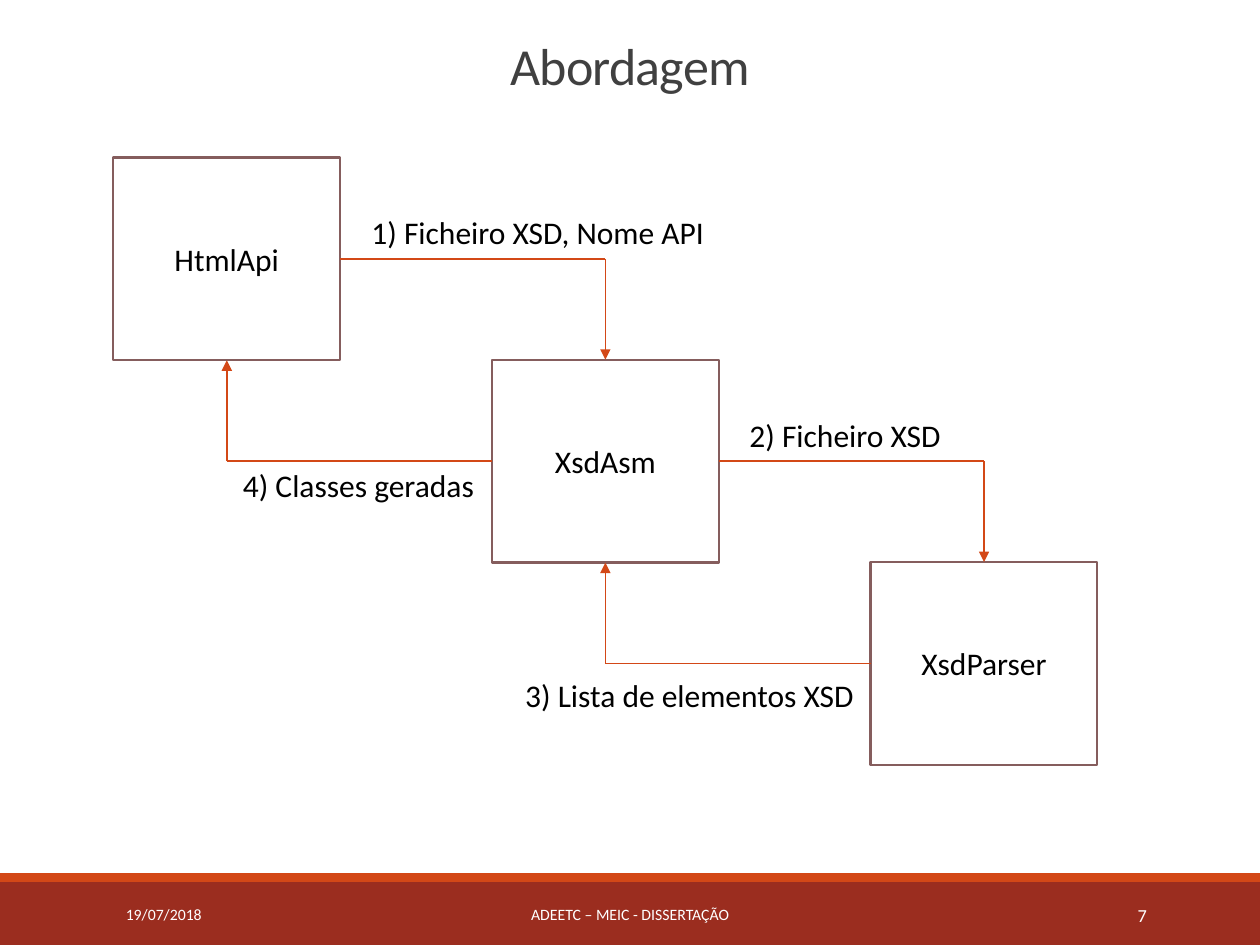
from lxml.etree import SubElement
from pptx import Presentation
from pptx.dml.color import RGBColor
from pptx.enum.shapes import MSO_CONNECTOR, MSO_SHAPE
from pptx.enum.text import MSO_ANCHOR, PP_ALIGN
from pptx.oxml.ns import qn
from pptx.util import Inches, Pt

COLORS = {
    "band": "9B2D1F",
    "accent": "D34817",
    "outline": "855D5D",
    "white": "FFFFFF",
    "black": "000000",
    "title": "404040",
}
FONT = "Calibri"
TOP, LEFT, BOTTOM, RIGHT = range(4)


def color(name):
    """Return the named colour."""
    return RGBColor.from_string(COLORS[name])


def write_text(shape, text, size, color_name, align=PP_ALIGN.LEFT, anchor=MSO_ANCHOR.MIDDLE):
    """Write one formatted run into a shape and return its paragraph and run."""
    shape.text_frame.vertical_anchor = anchor
    paragraph = shape.text_frame.paragraphs[0]
    paragraph.alignment = align
    run = paragraph.add_run()
    run.text = text
    run.font.name = FONT
    run.font.size = Pt(size)
    run.font.color.rgb = color(color_name)
    return paragraph, run


def add_rectangle(slide, left, top, width, height, fill, outline=None):
    """Add a flat rectangle with an optional outline."""
    shape = slide.shapes.add_shape(MSO_SHAPE.RECTANGLE, left, top, width, height)
    shape.shadow.inherit = False
    shape.fill.solid()
    shape.fill.fore_color.rgb = color(fill)
    if outline:
        shape.line.color.rgb = color(outline)
        shape.line.width = Pt(1.25)
    else:
        shape.line.fill.background()
    return shape


def add_line(slide, start, end, arrow=False):
    """Add a straight accent line, with an arrowhead at its end if asked."""
    connector = slide.shapes.add_connector(MSO_CONNECTOR.STRAIGHT, *start, *end)
    connector.line.color.rgb = color("accent")
    connector.line.width = Pt(1)
    if arrow:
        SubElement(connector.line._get_or_add_ln(), qn("a:tailEnd"), type="triangle")
    SubElement(connector._element.spPr, qn("a:effectLst"))
    return connector


def add_elbow(slide, source, target, source_side, target_side):
    """Join two boxes by a horizontal line and a vertical arrow."""
    start_x = source.left + (source.width if source_side == RIGHT else 0)
    middle_y = source.top + source.height // 2
    middle_x = target.left + target.width // 2
    end_y = target.top + (target.height if target_side == BOTTOM else 0)
    corner = (middle_x, middle_y)
    add_line(slide, (start_x, middle_y), corner).begin_connect(source, source_side)
    add_line(slide, corner, (middle_x, end_y), arrow=True).end_connect(target, target_side)


def add_title(slide, left, top, width, height):
    """Add the centred slide title."""
    box = slide.shapes.add_textbox(left, top, width, height)
    frame = box.text_frame
    frame.word_wrap = True
    frame.margin_left = frame.margin_right = Inches(0.07)
    frame.margin_top = frame.margin_bottom = Inches(0.04)
    paragraph, run = write_text(box, "Abordagem", 29.7, "title", PP_ALIGN.CENTER, MSO_ANCHOR.BOTTOM)
    paragraph.line_spacing = 0.65
    run.font._element.set("spc", "-50")


def add_diagram(slide, left, top, width, height):
    """Add the staircase of modules with its arrows and labels."""
    box_width, box_height = Inches(1.8), Inches(1.61)
    step_x, step_y = (width - box_width) // 2, (height - box_height) // 2
    api, assembler, parser = [
        add_rectangle(slide, left + index * step_x, top + index * step_y,
                      box_width, box_height, "white", "outline")
        for index in range(3)
    ]
    for box, name in ((api, "HtmlApi"), (assembler, "XsdAsm"), (parser, "XsdParser")):
        write_text(box, name, 18, "black", PP_ALIGN.CENTER)

    for upper, lower in ((api, assembler), (assembler, parser)):
        add_elbow(slide, upper, lower, RIGHT, TOP)
        add_elbow(slide, lower, upper, LEFT, BOTTOM)

    labels = (
        ("1) Ficheiro XSD, Nome API", 1.95, 0.39, 2.87),
        ("2) Ficheiro XSD", 4.95, 2, 1.74),
        ("3) Lista de elementos XSD", 3.17, 4.07, 2.84),
        ("4) Classes geradas", 0.93, 2.4, 2.06),
    )
    for text, x, y, label_width in labels:
        label = slide.shapes.add_textbox(
            left + Inches(x), top + Inches(y), Inches(label_width), Inches(0.4))
        label.text_frame.word_wrap = False
        write_text(label, text, 18, "black", anchor=MSO_ANCHOR.TOP)


def add_footer(slide, left, top, width, height):
    """Add the footer bands with date, footer text and slide number."""
    stripe = Inches(0.07)
    add_rectangle(slide, left, top + stripe, width, height - stripe, "band")
    add_rectangle(slide, left, top, width, stripe, "accent")
    fields = (
        ("19/07/2018", 0.9, 2.03, 9, PP_ALIGN.LEFT),
        ("ADEETC – MEIC - DISSERTAÇÃO", 3.02, 3.96, 9, PP_ALIGN.CENTER),
        ("7", 8.12, 1.08, 10.5, PP_ALIGN.RIGHT),
    )
    for text, x, field_width, size, align in fields:
        field = slide.shapes.add_textbox(
            left + Inches(x), top + Inches(0.13), Inches(field_width), Inches(0.4))
        field.text_frame.word_wrap = True
        write_text(field, text, size, "white", align)


def main():
    """Build and save the presentation."""
    presentation = Presentation()
    presentation.slide_width, presentation.slide_height = Inches(10), Inches(7.5)
    slide = presentation.slides.add_slide(presentation.slide_layouts[6])
    add_footer(slide, Inches(0), Inches(6.93), Inches(10), Inches(0.57))
    add_title(slide, Inches(0), Inches(0.38), Inches(10), Inches(0.4))
    add_diagram(slide, Inches(0.9), Inches(1.25), Inches(7.81), Inches(4.82))
    presentation.save("out.pptx")


if __name__ == "__main__":
    main()
